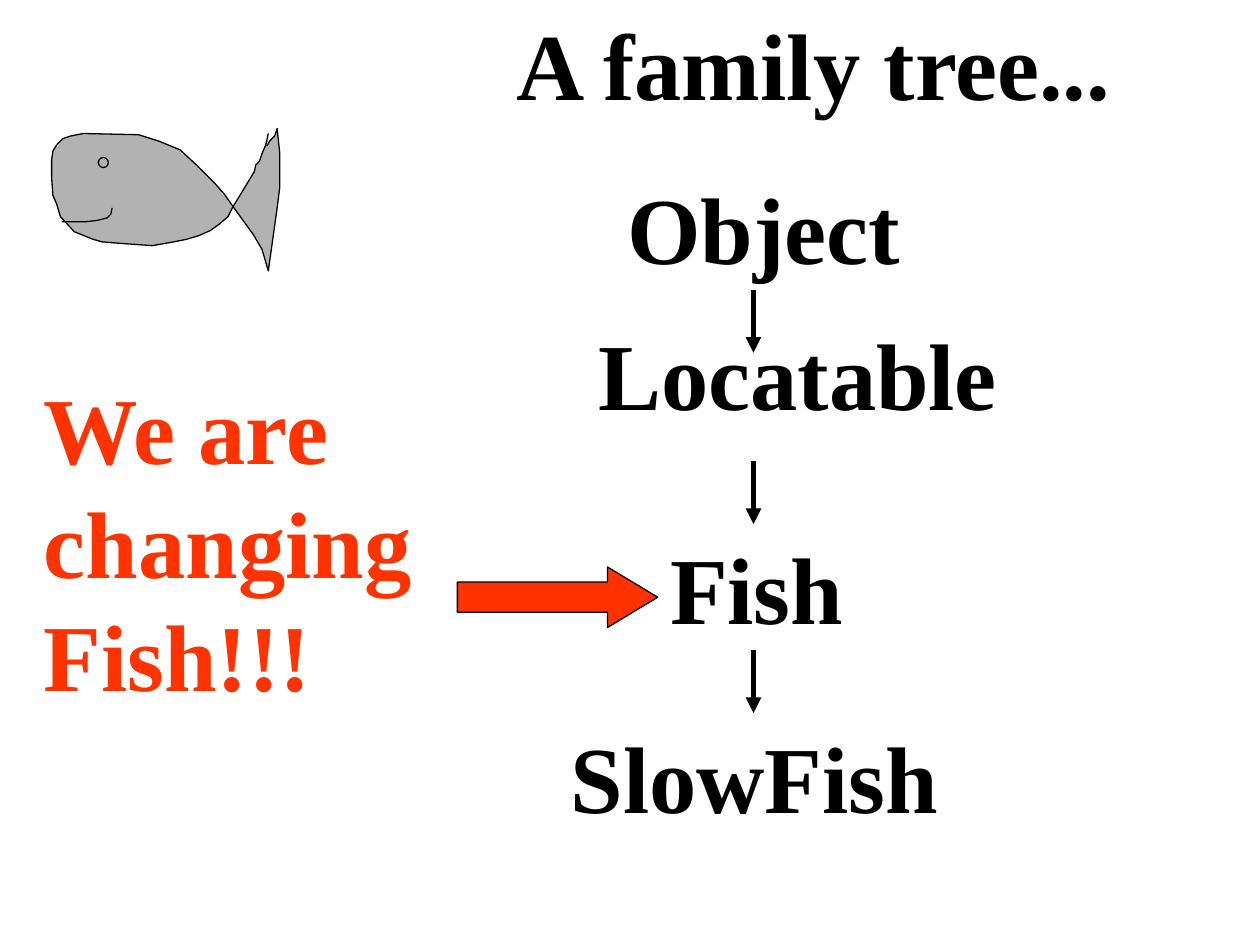
"""Build the class family tree slide with its fish drawing."""
from lxml import etree
from pptx import Presentation
from pptx.dml import color
from pptx.enum import shapes, text
from pptx.oxml import ns
from pptx import util as u

px = u.Inches(0.01)


def rgb(value):
    return color.RGBColor.from_string(value)


def write(box, lines, hue="000000", size=54, font="Times New Roman"):
    frame = box.text_frame
    frame.word_wrap = False
    frame.auto_size = text.MSO_AUTO_SIZE.SHAPE_TO_FIT_TEXT
    frame.vertical_anchor = text.MSO_ANCHOR.TOP
    frame.text = lines
    for para in frame.paragraphs:
        para.alignment = text.PP_ALIGN.LEFT
        for span in para.runs:
            span.font.name = font
            span.font.size = u.Pt(size)
            span.font.bold = True
            span.font.color.rgb = rgb(hue)


deck = Presentation()
deck.slide_width, deck.slide_height = 1000 * px, 750 * px
page = deck.slides.add_slide(deck.slide_layouts[5])

title = page.shapes.title
title.left, title.top, title.width, title.height = 400 * px, 0, 497 * px, 100 * px
write(title, "A family tree...")

for name, left, top, width in [
    ("Object", 488, 130, 240),
    ("Locatable", 465, 246, 340),
    ("Fish", 522, 416, 161),
    ("SlowFish", 443, 566, 316),
]:
    box = page.shapes.add_textbox(left * px, top * px, width * px, 100 * px)
    write(box, name)

for top in (230, 366, 516):
    link = page.shapes.add_connector(
        shapes.MSO_CONNECTOR.STRAIGHT, 598 * px, top * px, 598 * px, (top + 50) * px
    )
    link.line.color.rgb = rgb("000000")
    link.line.width = u.Pt(3)
    outline = link._element.spPr.find(ns.qn("a:ln"))
    etree.SubElement(outline, ns.qn("a:tailEnd"), type="triangle")
    etree.SubElement(link._element.spPr, ns.qn("a:effectLst"))

body_points = [
    (213, 106), (211, 115), (208, 122), (206, 128), (203, 131), (202, 136),
    (193, 151), (185, 164), (181, 172), (174, 178), (167, 183), (158, 187),
    (148, 190), (138, 192), (121, 195), (93, 193), (81, 192), (74, 190),
    (59, 184), (48, 172), (45, 162), (42, 155), (41, 141), (41, 127),
    (42, 120), (45, 115), (50, 110), (56, 108), (66, 106), (110, 107),
    (126, 112), (143, 119), (157, 132), (170, 145), (178, 154), (185, 164),
    (198, 182), (201, 186), (208, 198), (213, 215), (220, 165), (222, 149),
    (222, 136), (222, 121), (220, 102), (218, 108), (214, 112), (212, 116),
]
mouth_points = [(49, 176), (68, 176), (77, 175), (85, 173), (88, 170), (89, 165)]

painted = []
for points in (body_points, mouth_points):
    builder = page.shapes.build_freeform(*points[0], scale=px)
    builder.add_line_segments(points[1:], close=False)
    painted.append((builder.convert_to_shape(), "B2B2B2"))

eye = page.shapes.add_shape(shapes.MSO_SHAPE.OVAL, 78 * px, 125 * px, 8 * px, 8 * px)
painted.append((eye, "B2B2B2"))

pointer = page.shapes.add_shape(
    shapes.MSO_SHAPE.RIGHT_ARROW, 363 * px, 450 * px, 159 * px, 48 * px
)
pointer.adjustments[1] = 0.83
painted.append((pointer, "FF3300"))

for shape, fill in painted:
    shape.shadow.inherit = False
    shape.fill.solid()
    shape.fill.fore_color.rgb = rgb(fill)
    shape.line.color.rgb = rgb("000000")
    shape.line.width = u.Pt(0.75)

notice = page.shapes.add_textbox(25 * px, 289 * px, 314 * px, 280 * px)
write(notice, "We are\nchanging\nFish!!!", hue="FF3300")

deck.save("out.pptx")
